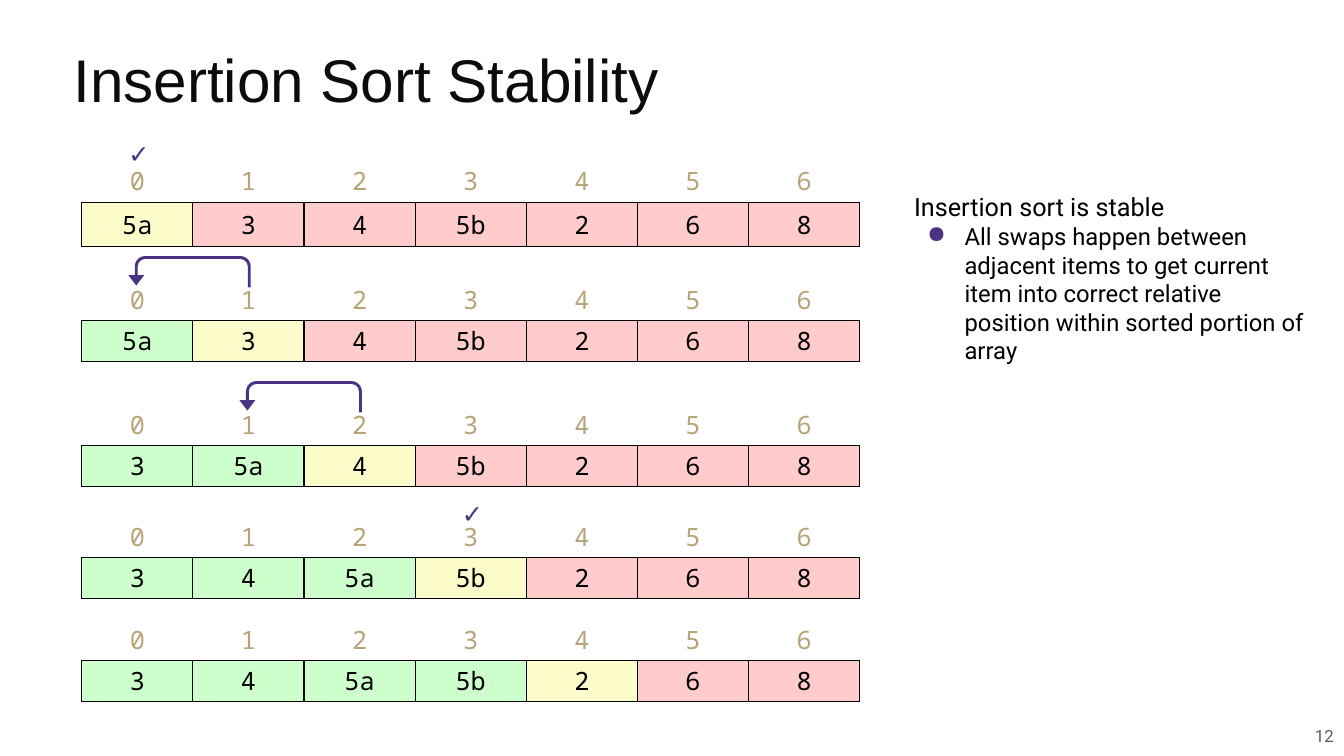
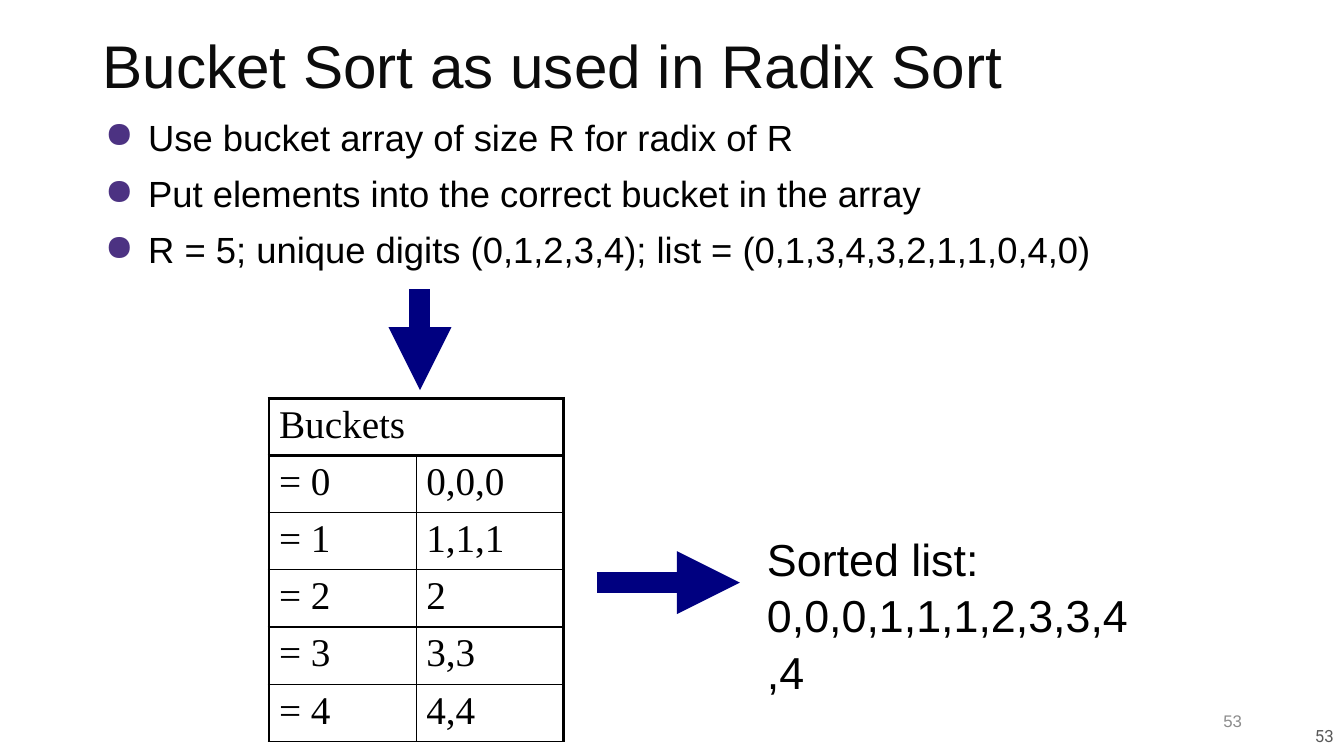
from dataclasses import dataclass

from lxml.etree import SubElement
from pptx import Presentation
from pptx.dml.color import RGBColor
from pptx.enum.shapes import MSO_CONNECTOR as Connector, MSO_SHAPE as Preset
from pptx.enum.text import MSO_ANCHOR as Anchor, PP_ALIGN as Align
from pptx.oxml.ns import qn
from pptx.util import Inches, Pt


@dataclass(frozen=True)
class Style:
    """Look of one kind of text."""
    font: str
    size: int
    color: str = "000000"
    bold: bool = False
    spacing: float = 1.0


class Theme:
    """Colours, line widths and type styles of the deck."""
    ink, white, purple, navy = "000000", "FFFFFF", "4C3282", "000080"
    done, current, waiting = "CCFFCC", "FBFCCA", "FFCCCB"
    thin, thick, arrow = 1, 2.25, 15
    title = Style("Arial", 43, "0C0C0C", spacing=0.8)
    body = Style("Arial", 26, spacing=0.9)
    result = Style("Arial", 32, spacing=1.05)
    lead = Style("Roboto", 18)
    detail = Style("Roboto", 17)
    check = Style("Roboto", 18, purple, bold=True)
    footer = Style("Roboto", 12, "595959")
    number = Style("Arial", 12, "8C8C8C")
    index = Style("Noto Sans Mono", 18, "B6A479")
    value = Style("Noto Sans Mono", 18)
    bucket = Style("Times New Roman", 28)


@dataclass(frozen=True)
class Box:
    """Rectangle in inches that can be divided by a grid."""
    left: float
    top: float
    width: float
    height: float

    def area(self, col, row, wide, tall, cols=100, rows=100):
        """Return the box that covers the given columns and rows."""
        across, down = self.width / cols, self.height / rows
        return Box(self.left + col * across, self.top + row * down, wide * across, tall * down)

    def place(self):
        """Return left, top, width and height as lengths."""
        return [Inches(side) for side in (self.left, self.top, self.width, self.height)]


PAGE = Box(0, 0, 13.33, 7.5)

STEPS = [
    (20.93, 11.73, "5a 3 4 5b 2 6 8", 0),
    (36.93, 10.93, "5a 3 4 5b 2 6 8", 1),
    (53.47, 10.93, "3 5a 4 5b 2 6 8", 2),
    (68.27, 10.93, "3 4 5a 5b 2 6 8", 3),
    (81.87, 10.93, "3 4 5a 5b 2 6 8", 4),
]
CHECKED, MOVED = (0, 3), (1, 2)
BUCKETS = ["0,0,0", "1,1,1", "2", "3,3", "4,4"]
RADIX_POINTS = [
    "Use bucket array of size R for radix of R",
    "Put elements into the correct bucket in the array",
    "R = 5; unique digits (0,1,2,3,4); list = (0,1,3,4,3,2,1,1,0,4,0)",
]


def style_para(para, style, align=Align.LEFT):
    """Apply a text style to a paragraph and its runs."""
    para.alignment = align
    if style.spacing != 1:
        para.line_spacing = style.spacing
    for span in para.runs:
        span.font.name, span.font.size, span.font.bold = style.font, Pt(style.size), style.bold
        span.font.color.rgb = RGBColor.from_string(style.color)


def add_bullet(para, hanging):
    """Give a paragraph a purple bullet and a hanging indent."""
    props = para._p.get_or_add_pPr()
    props.set("marL", str(Inches(0.5)))
    props.set("indent", str(-Inches(hanging)))
    SubElement(SubElement(props, qn("a:buClr")), qn("a:srgbClr")).set("val", Theme.purple)
    SubElement(props, qn("a:buChar")).set("char", "●")


def add_text(page, box, lines, style, align=Align.LEFT, anchor=Anchor.TOP, inset=0.1):
    """Add a text box with one paragraph a line and return its paragraphs."""
    frame = page.shapes.add_textbox(*box.place()).text_frame
    frame.word_wrap, frame.vertical_anchor = True, anchor
    frame.margin_left = frame.margin_right = Inches(inset)
    frame.text = "\n".join(lines)
    for para in frame.paragraphs:
        style_para(para, style, align)
    return frame.paragraphs


def add_frame(page, title, title_box, number):
    """Add the title and the corner page number."""
    add_text(page, title_box, [title], Theme.title, anchor=Anchor.MIDDLE)
    add_text(page, PAGE.area(64.88, 94.67, 35.1, 5.33), [number], Theme.footer,
             Align.RIGHT, Anchor.MIDDLE)


def add_grid(page, box, rows, cols):
    """Add a plain table with equal rows and columns."""
    table = page.shapes.add_table(rows, cols, *box.place()).table
    table.first_row = table.horz_banding = False
    for row in table.rows:
        row.height = Inches(box.height / rows)
    for column in table.columns:
        column.width = Inches(box.width / cols)
    return table


def set_borders(cell, **sides):
    """Draw cell sides, each given as a width and a colour."""
    props = cell._tc.get_or_add_tcPr()
    for side in "LRTB":
        width, color = sides[side]
        line = SubElement(props, qn(f"a:ln{side}"), w=str(Pt(width)))
        SubElement(SubElement(line, qn("a:solidFill")), qn("a:srgbClr")).set("val", color)


def fill_cell(cell, text, style, color=None, align=Align.LEFT):
    """Write a styled text into a cell and colour the cell."""
    cell.text = text
    style_para(cell.text_frame.paragraphs[0], style, align)
    if color:
        cell.fill.solid()
        cell.fill.fore_color.rgb = RGBColor.from_string(color)
    else:
        cell.fill.background()


def add_step(page, box, values, current):
    """Add one array state with its indices above the values."""
    table = add_grid(page, box, 2, len(values))
    black, white = (Theme.thin, Theme.ink), (Theme.thin, Theme.white)
    for col, value in enumerate(values):
        color = (Theme.done if col < current else
                 Theme.current if col == current else Theme.waiting)
        index_cell, value_cell = table.cell(0, col), table.cell(1, col)
        set_borders(index_cell, L=white, R=white, T=white, B=black)
        set_borders(value_cell, L=black, R=black, T=black, B=black)
        fill_cell(index_cell, str(col), Theme.index, Theme.white, Align.CENTER)
        fill_cell(value_cell, value, Theme.value, color, Align.CENTER)
        for cell in (index_cell, value_cell):
            cell.vertical_anchor = Anchor.MIDDLE
            cell.margin_top = cell.margin_bottom = 0
    if current in CHECKED:
        add_text(page, box.area(current + 0.33, -0.56, 0.35, 1, len(values), 2), ["✓"], Theme.check)
    if current in MOVED:
        add_turn(page, box.area(current - 0.58, -0.56, 1.1, 0.76, len(values), 2))


def add_turn(page, box):
    """Add an arrow that turns back to the column on the left."""
    turn = page.shapes.add_shape(Preset.U_TURN_ARROW, *box.place())
    turn.shadow.inherit = False
    turn.element.spPr.find(qn("a:xfrm")).set("flipH", "1")
    for place, value in enumerate((0.09, 0.25, 0.33, 0.33, 0.94)):
        turn.adjustments[place] = value
    turn.fill.solid()
    turn.fill.fore_color.rgb = RGBColor.from_string(Theme.purple)
    turn.line.fill.background()


def add_arrow(page, box):
    """Add a heavy arrow from the first to the last corner of a box."""
    left, top, width, height = box.place()
    arrow = page.shapes.add_connector(Connector.STRAIGHT, left, top, left + width, top + height)
    arrow.line.width = Pt(Theme.arrow)
    arrow.line.color.rgb = RGBColor.from_string(Theme.navy)
    SubElement(arrow.line._get_or_add_ln(), qn("a:tailEnd")).set("type", "triangle")
    SubElement(arrow.element.spPr, qn("a:effectLst"))


def add_buckets(page, box):
    """Add the bucket table under a merged heading."""
    table = add_grid(page, box, len(BUCKETS) + 1, 2)
    rows = [("Buckets", "")] + [(f"= {digit}", items) for digit, items in enumerate(BUCKETS)]
    thin, thick = (Theme.thin, Theme.ink), (Theme.thick, Theme.ink)
    for row, texts in enumerate(rows):
        for col, text in enumerate(texts):
            cell = table.cell(row, col)
            set_borders(cell, L=thin if col else thick, R=thick if col or not row else thin,
                        T=thick if row < 2 else thin, B=thin if row else thick)
            fill_cell(cell, text, Theme.bucket)
    table.cell(0, 0).merge(table.cell(0, 1))


def build_stability(page):
    """Build the insertion sort slide."""
    add_frame(page, "Insertion Sort Stability", PAGE.area(4.72, 3.87, 91.72, 14.8), "12")
    for top, tall, values, current in STEPS:
        add_step(page, PAGE.area(6.08, top, 57.9, tall), values.split(), current)
    lead, detail = add_text(page, PAGE.area(67.28, 24.67, 31.13, 20.67), [
        "Insertion sort is stable",
        "All swaps happen between adjacent items to get current item into correct "
        "relative position within sorted portion of array"], Theme.lead)
    add_bullet(detail, 0.37)
    style_para(detail, Theme.detail)


def build_radix(page):
    """Build the bucket sort slide."""
    add_frame(page, "Bucket Sort as used in Radix Sort", PAGE.area(6.9, 1.73, 86.25, 15.33), "53")
    add_text(page, PAGE.area(70.65, 92.67, 22.5, 5.33), ["53"], Theme.number,
             Align.RIGHT, Anchor.MIDDLE)
    points = add_text(page, PAGE.area(6.9, 15.2, 86.25, 24.8), RADIX_POINTS, Theme.body, inset=0.05)
    for place, para in enumerate(points):
        add_bullet(para, 0.43)
        if place:
            para.space_before = Pt(12)
    add_buckets(page, PAGE.area(20.02, 52.67, 21.9, 42.4))
    add_text(page, PAGE.area(56.33, 69.33, 28.73, 15.73),
             ["Sorted list:", "0,0,0,1,1,1,2,3,3,4,4"], Theme.result)
    add_arrow(page, PAGE.area(31.25, 38.27, 0, 13.33))
    add_arrow(page, PAGE.area(44.4, 77.07, 10.65, 0))


def main():
    """Build and save the deck."""
    deck = Presentation()
    deck.slide_width, deck.slide_height = Inches(PAGE.width), Inches(PAGE.height)
    for build in (build_stability, build_radix):
        build(deck.slides.add_slide(deck.slide_layouts[6]))
    deck.save("out.pptx")


if __name__ == "__main__":
    main()
